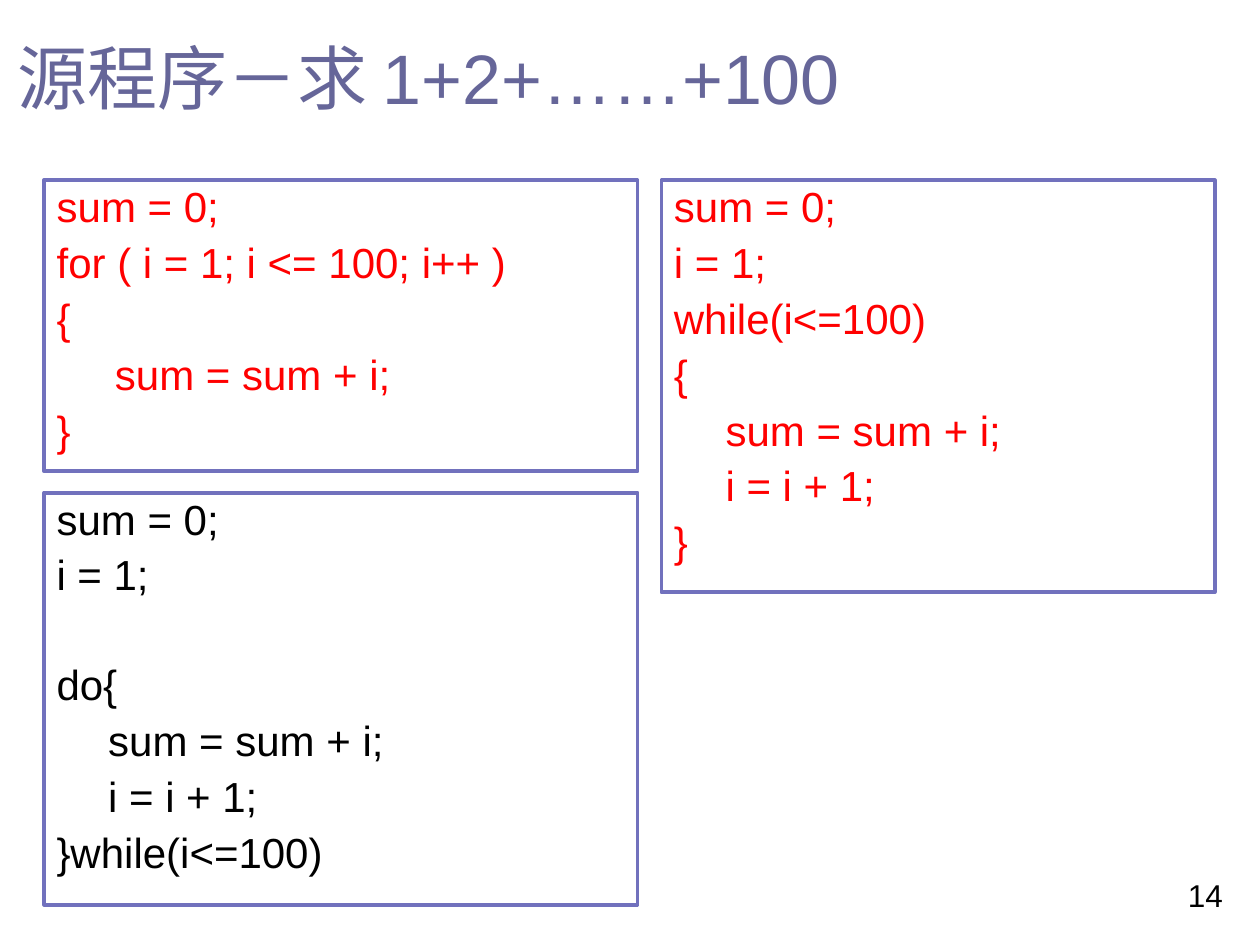
from lxml.etree import SubElement
from pptx import Presentation
from pptx.dml.color import RGBColor
from pptx.enum.shapes import MSO_SHAPE
from pptx.enum.text import MSO_ANCHOR, MSO_AUTO_SIZE, PP_ALIGN
from pptx.oxml.ns import qn
from pptx.util import Inches, Pt

RED = RGBColor(0xFF, 0x00, 0x00)
BLACK = RGBColor(0x00, 0x00, 0x00)
BORDER = RGBColor(0x71, 0x71, 0xBD)
TITLE_COLOR = RGBColor(0x66, 0x66, 0x99)

TITLE = "源程序－求 1+2+……+100"
PAGE_NUMBER = "14"
FOR_LOOP = [
    "sum = 0;",
    "for ( i = 1; i <= 100; i++ )",
    "{",
    "     sum = sum + i;",
    "}",
]
WHILE_LOOP = [
    "sum = 0;",
    "i = 1;",
    "while(i<=100)",
    "{",
    "\tsum = sum + i;",
    "\ti = i + 1;",
    "}",
]
DO_LOOP_SETUP = ["sum = 0;", "i = 1;"]
DO_LOOP_BODY = ["do{", "\tsum = sum + i;", "\ti = i + 1;", "}while(i<=100)"]

LEFT, RIGHT, TOP, LOWER_TOP = 0.35, 5.25, 1.43, 3.91
LEFT_WIDTH, RIGHT_WIDTH = 4.71, 4.39
SHORT, TALL = 2.31, 3.27
INDENT = Inches(0.41)
LINE_GAP = 6
BLOCK_GAP = 36.8

FRAME_FORMAT = {
    "auto_size": MSO_AUTO_SIZE.NONE,
    "word_wrap": True,
    "margin_left": Inches(0.1),
    "margin_right": Inches(0.1),
    "margin_top": Inches(0.05),
    "margin_bottom": Inches(0.05),
}


def apply_format(target, values):
    for name, value in values.items():
        setattr(target, name, value)


def place(shape, left, top, width, height):
    values = {"left": left, "top": top, "width": width, "height": height}
    apply_format(shape, {name: Inches(value) for name, value in values.items()})


def format_font(paragraph, size, color):
    for run in paragraph.runs:
        apply_format(run.font, {"name": "Arial", "size": Pt(size)})
        run.font.color.rgb = color


def write_line(shape, text, size, color, anchor):
    frame = shape.text_frame
    apply_format(frame, {**FRAME_FORMAT, "vertical_anchor": anchor})
    paragraph = frame.paragraphs[0]
    paragraph.text = text
    paragraph.alignment = PP_ALIGN.LEFT
    format_font(paragraph, size, color)


def write_code(shape, blocks, color):
    shape.fill.background()
    shape.line.color.rgb = BORDER
    shape.line.width = Pt(2.25)
    frame = shape.text_frame
    apply_format(frame, {**FRAME_FORMAT, "vertical_anchor": MSO_ANCHOR.TOP})
    lines = [(text, LINE_GAP if row else BLOCK_GAP)
             for block in blocks for row, text in enumerate(block)]
    for index, (text, gap) in enumerate(lines):
        paragraph = frame.add_paragraph() if index else frame.paragraphs[0]
        paragraph.add_run().text = text
        apply_format(paragraph, {
            "alignment": PP_ALIGN.JUSTIFY,
            "line_spacing": 0.9,
            "space_before": Pt(gap if index else 0),
        })
        properties = paragraph._p.get_or_add_pPr()
        properties.set("marL", str(INDENT))
        properties.set("indent", str(-INDENT))
        SubElement(properties, qn("a:buNone"))
        format_font(paragraph, 24, color)


def add_code_box(slide, area, blocks, color):
    box = slide.shapes.add_shape(MSO_SHAPE.RECTANGLE, *map(Inches, area))
    box.shadow.inherit = False
    write_code(box, blocks, color)


def main():
    presentation = Presentation()
    presentation.slide_width = Inches(10)
    presentation.slide_height = Inches(7.5)
    slide = presentation.slides.add_slide(presentation.slide_layouts[1])

    title = slide.shapes.title
    place(title, 0.04, 0.18, 9.45, 0.81)
    write_line(title, TITLE, 40, TITLE_COLOR, MSO_ANCHOR.BOTTOM)

    body = slide.placeholders[1]
    place(body, LEFT, TOP, LEFT_WIDTH, SHORT)
    write_code(body, [FOR_LOOP], RED)
    add_code_box(slide, (RIGHT, TOP, RIGHT_WIDTH, TALL), [WHILE_LOOP], RED)
    add_code_box(slide, (LEFT, LOWER_TOP, LEFT_WIDTH, TALL),
                 [DO_LOOP_SETUP, DO_LOOP_BODY], BLACK)

    number = slide.shapes.add_textbox(*map(Inches, (9.33, 6.9, 0.55, 0.4)))
    write_line(number, PAGE_NUMBER, 18, BLACK, MSO_ANCHOR.TOP)

    presentation.save("out.pptx")


if __name__ == "__main__":
    main()
